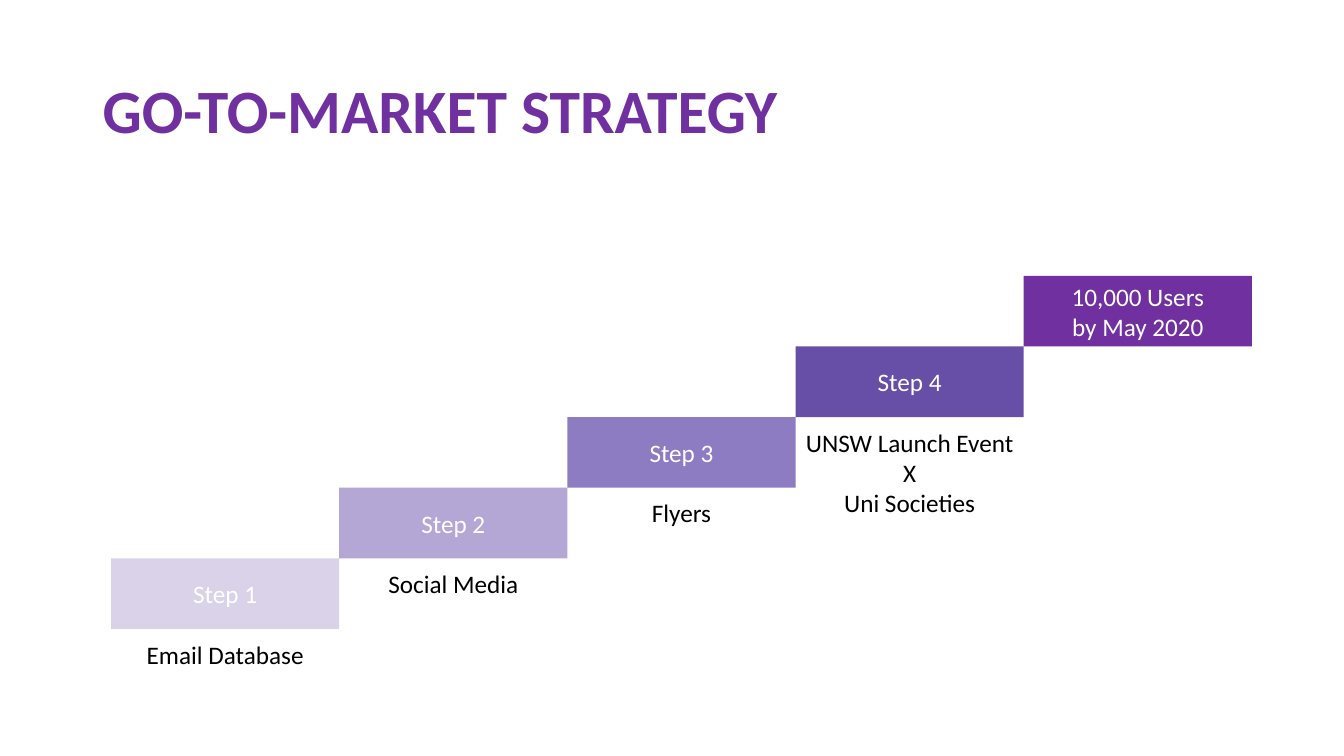
from pptx import Presentation
from pptx.dml.color import RGBColor
from pptx.enum.shapes import MSO_SHAPE as Preset
from pptx.enum.text import MSO_ANCHOR as Anchor, PP_ALIGN as Align
from pptx.util import Cm, Pt

STEP_LEFT, STEP_TOP = 2.8, 14.07
STEP_WIDTH, STEP_HEIGHT = 5.75, 1.78
CHANNEL_HEIGHT = 1.32

STAIRCASE = [
    ("Step 1", "D9D2E9", "Email Database"),
    ("Step 2", "B4A7D6", "Social Media"),
    ("Step 3", "8E7CC3", "Flyers"),
    ("Step 4", "674EA7", "UNSW Launch Event\nX\nUni Societies"),
    ("10,000 Users\nby May 2020", "7030A0", None),
]


def colour(hex_string):
    return RGBColor.from_string(hex_string)


class StrategySlide:
    font_name = "Calibri"
    title_colour = "7030A0"
    step_colour = "FFFFFF"
    channel_colour = "000000"
    text_size = 18
    margin = 0.25

    def __init__(self, deck):
        self.slide = deck.slides.add_slide(deck.slide_layouts[5])

    def style(self, paragraph, size, hex_string, align, bold=False):
        paragraph.alignment = align
        font = paragraph.font
        font.name = self.font_name
        font.size = Pt(size)
        font.bold = bold
        font.color.rgb = colour(hex_string)

    def fill_text(self, frame, text, hex_string, anchor):
        frame.word_wrap = True
        frame.vertical_anchor = anchor
        frame.margin_left = frame.margin_right = Cm(self.margin)
        frame.margin_top = frame.margin_bottom = Cm(self.margin)
        frame.text = text
        for paragraph in frame.paragraphs:
            self.style(paragraph, self.text_size, hex_string, Align.CENTER)

    def title(self, text, left, top, width, height):
        heading = self.slide.shapes.title
        heading.left, heading.top = Cm(left), Cm(top)
        heading.width, heading.height = Cm(width), Cm(height)
        frame = heading.text_frame
        frame.text = text
        frame.vertical_anchor = Anchor.MIDDLE
        paragraph = frame.paragraphs[0]
        paragraph.line_spacing = 0.9
        self.style(paragraph, 44, self.title_colour, Align.LEFT, bold=True)

    def step(self, text, fill, left, top):
        block = self.slide.shapes.add_shape(
            Preset.RECTANGLE, Cm(left), Cm(top), Cm(STEP_WIDTH), Cm(STEP_HEIGHT))
        block.shadow.inherit = False
        block.fill.solid()
        block.fill.fore_color.rgb = colour(fill)
        block.line.fill.background()
        self.fill_text(block.text_frame, text, self.step_colour, Anchor.MIDDLE)

    def channel(self, text, left, top):
        label = self.slide.shapes.add_textbox(
            Cm(left), Cm(top), Cm(STEP_WIDTH), Cm(CHANNEL_HEIGHT))
        self.fill_text(label.text_frame, text, self.channel_colour, Anchor.TOP)


def main():
    deck = Presentation()
    deck.slide_width, deck.slide_height = Cm(33.87), Cm(19.05)
    strategy = StrategySlide(deck)
    strategy.title("GO-TO-MARKET STRATEGY", 2.33, 1.01, 29.21, 3.68)
    for level, (step, fill, channel) in enumerate(STAIRCASE):
        left = STEP_LEFT + level * STEP_WIDTH
        top = STEP_TOP - level * STEP_HEIGHT
        strategy.step(step, fill, left, top)
        if channel:
            strategy.channel(channel, left, top + STEP_HEIGHT)
    deck.save("out.pptx")


if __name__ == "__main__":
    main()
